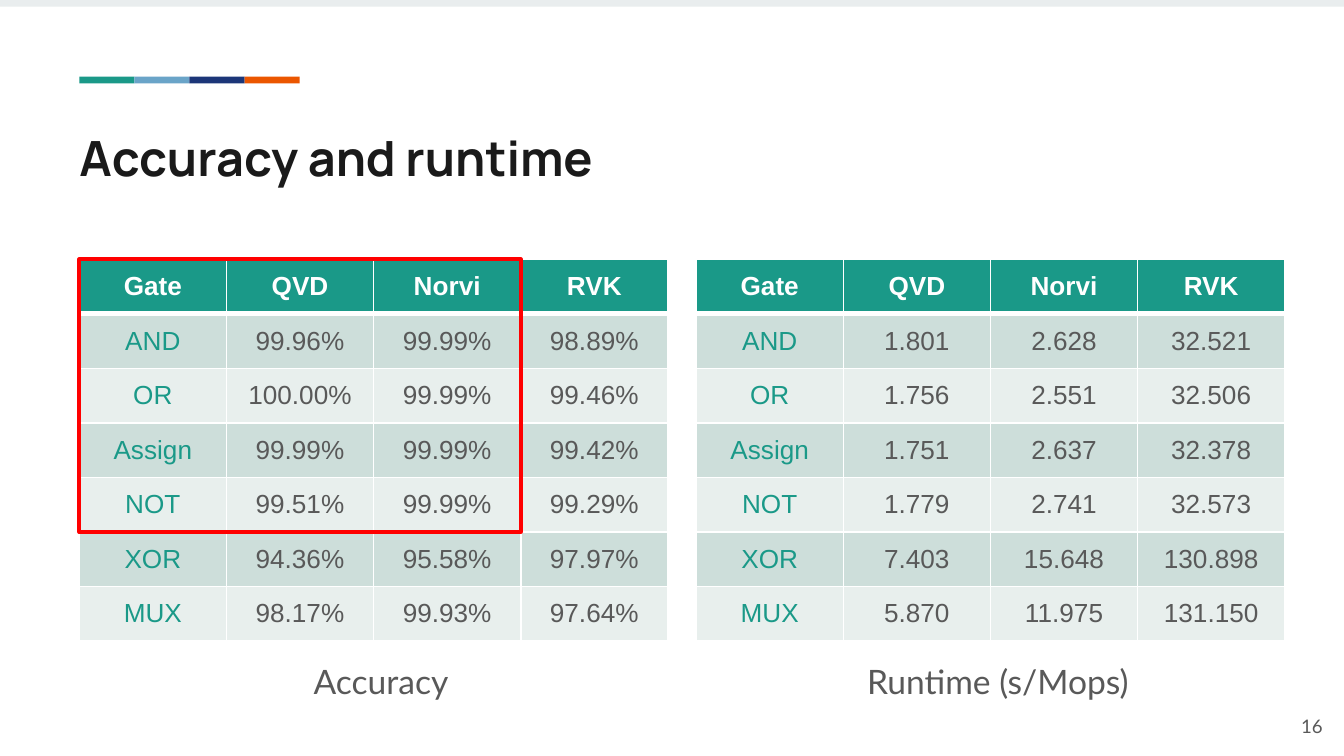
from lxml.etree import SubElement
from pptx import Presentation
from pptx.dml.color import RGBColor
from pptx.enum.shapes import MSO_SHAPE as SHAPE
from pptx.enum.text import MSO_ANCHOR as ANCHOR, PP_ALIGN as ALIGN
from pptx.oxml.ns import qn
from pptx.util import Inches, Pt

WHITE = RGBColor(0xFF, 0xFF, 0xFF)
TEAL = RGBColor(0x1A, 0x99, 0x88)
SKY = RGBColor(0x6A, 0xA4, 0xC8)
NAVY = RGBColor(0x1C, 0x36, 0x78)
ORANGE = RGBColor(0xEB, 0x56, 0x00)
RED = RGBColor(0xFF, 0x00, 0x00)
INK = RGBColor(0x1A, 0x1A, 0x1A)
GRAY = RGBColor(0x59, 0x59, 0x59)
TOP_BAR = RGBColor(0xE9, 0xED, 0xEE)
BANDS = (RGBColor(0xCD, 0xDE, 0xDA), RGBColor(0xE8, 0xEF, 0xED))

LEFT, RIGHT, TOP = 0.59, 5.18, 1.93
TABLE_W, TABLE_H = 4.38, 2.84
SEGMENT_W = 0.41

HEADER = ("Gate", "QVD", "Norvi", "RVK")
GATES = ("AND", "OR", "Assign", "NOT", "XOR", "MUX")
ACCURACY = (
    ("99.96%", "99.99%", "98.89%"),
    ("100.00%", "99.99%", "99.46%"),
    ("99.99%", "99.99%", "99.42%"),
    ("99.51%", "99.99%", "99.29%"),
    ("94.36%", "95.58%", "97.97%"),
    ("98.17%", "99.93%", "97.64%"),
)
RUNTIME = (
    ("1.801", "2.628", "32.521"),
    ("1.756", "2.551", "32.506"),
    ("1.751", "2.637", "32.378"),
    ("1.779", "2.741", "32.573"),
    ("7.403", "15.648", "130.898"),
    ("5.870", "11.975", "131.150"),
)


def write(tf, text, size=14, font="Arial", color=GRAY, bold=False,
          align=ALIGN.CENTER, spacing=None, after=None, indent=None):
    p = tf.paragraphs[0]
    p.alignment = align
    if spacing is not None:
        p.line_spacing = spacing
    if after is not None:
        p.space_after = Pt(after)
    if indent is not None:
        pPr = p._p.get_or_add_pPr()
        pPr.set("marL", str(Inches(indent)))
        pPr.set("indent", "0")
    r = p.add_run()
    r.text = text
    r.font.size = Pt(size)
    r.font.name = font
    r.font.bold = bold
    r.font.color.rgb = color


def set_borders(cell, **widths):
    tcPr = cell._tc.get_or_add_tcPr()
    for side in "LRTB":
        ln = SubElement(tcPr, qn(f"a:ln{side}"), w=str(Pt(widths.get(side, 1))))
        fill = SubElement(ln, qn("a:solidFill"))
        SubElement(fill, qn("a:srgbClr"), val=str(WHITE))


class SlideBuilder:
    def __init__(self, slide, font="Lato"):
        self.slide = slide
        self.font = font

    def rect(self, x, y, w, h, fill=None, line=None, line_width=2):
        sp = self.slide.shapes.add_shape(
            SHAPE.RECTANGLE, Inches(x), Inches(y), Inches(w), Inches(h))
        sp.shadow.inherit = False
        if fill is None:
            sp.fill.background()
        else:
            sp.fill.solid()
            sp.fill.fore_color.rgb = fill
        if line is None:
            sp.line.fill.background()
        else:
            sp.line.color.rgb = line
            sp.line.width = Pt(line_width)
            SubElement(sp.line._get_or_add_ln(), qn("a:round"))

    def text(self, x, y, w, h, text, inset=0.1, anchor=ANCHOR.TOP, **style):
        sp = self.slide.shapes.add_textbox(
            Inches(x), Inches(y), Inches(w), Inches(h))
        tf = sp.text_frame
        tf.word_wrap = True
        tf.vertical_anchor = anchor
        tf.margin_left = Inches(inset)
        tf.margin_right = tf.margin_top = tf.margin_bottom = Inches(0.1)
        write(tf, text, **{"font": self.font, **style})

    def caption(self, x, text, after):
        self.text(x, TOP + TABLE_H, 4.37, 0.69, text,
                  size=18, spacing=1.15, after=after, indent=0.12)

    def table(self, x, values):
        rows = [HEADER] + [(gate, *row) for gate, row in zip(GATES, values)]
        table = self.slide.shapes.add_table(
            len(rows), len(HEADER), Inches(x), Inches(TOP),
            Inches(TABLE_W), Inches(TABLE_H)).table
        for i, row in enumerate(rows):
            for j, value in enumerate(row):
                cell = table.cell(i, j)
                header = i == 0
                set_borders(cell, T=3 if i == 1 else 1, B=3 if header else 1)
                cell.fill.solid()
                cell.fill.fore_color.rgb = TEAL if header else BANDS[(i - 1) % 2]
                cell.vertical_anchor = ANCHOR.MIDDLE
                color = WHITE if header else TEAL if j == 0 else GRAY
                write(cell.text_frame, value, color=color, bold=header)


def main():
    prs = Presentation()
    prs.slide_width = Inches(10)
    prs.slide_height = prs.slide_width * 9 // 16
    s = SlideBuilder(prs.slides.add_slide(prs.slide_layouts[6]))

    for i, color in enumerate((TEAL, SKY, NAVY, ORANGE)):
        s.rect(LEFT + i * SEGMENT_W, 0.57, SEGMENT_W, 0.05, fill=color)
    s.rect(0, 0, 10, 0.05, fill=TOP_BAR)
    s.text(LEFT, 0.85, 8.75, 0.59, "Accuracy and runtime", inset=0,
           size=26, font="Manrope", color=INK, bold=True, align=ALIGN.LEFT)
    s.text(9.34, 5.19, 0.6, 0.43, "16", anchor=ANCHOR.MIDDLE,
           size=10, align=ALIGN.RIGHT)

    for x, values, label, after in ((LEFT, ACCURACY, "Accuracy", 6),
                                    (RIGHT, RUNTIME, "Runtime (s/Mops)", 0)):
        s.table(x, values)
        s.caption(x, label, after)
    s.rect(LEFT, TOP, TABLE_W * 3 / 4, TABLE_H * 5 / 7, line=RED)

    prs.save("out.pptx")


if __name__ == "__main__":
    main()
